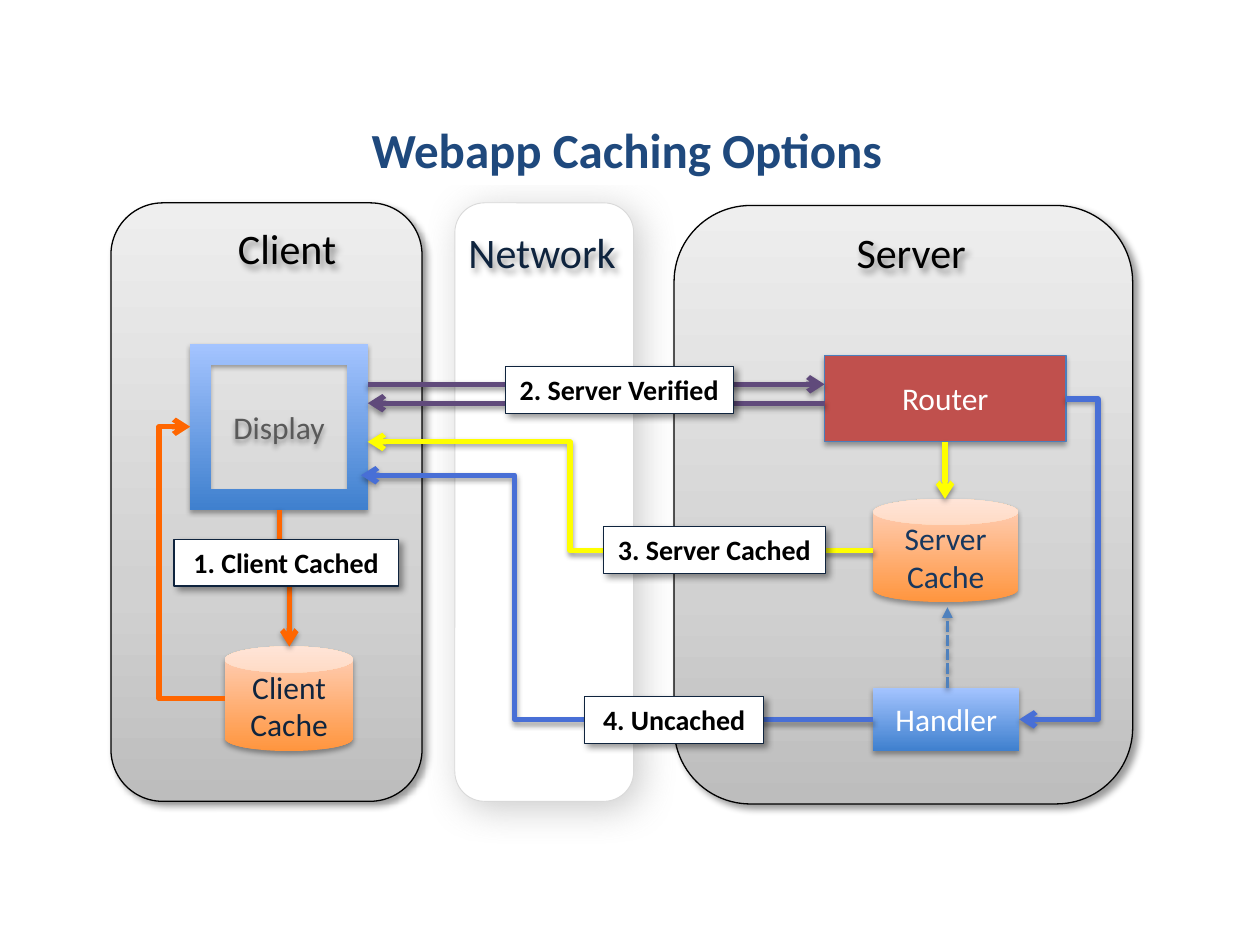
from lxml import etree
from pptx import Presentation
from pptx.dml.color import RGBColor
from pptx.enum.dml import MSO_LINE
from pptx.enum.shapes import MSO_CONNECTOR, MSO_SHAPE
from pptx.enum.text import MSO_ANCHOR, PP_ALIGN
from pptx.oxml.ns import qn
from pptx.util import Pt

WHITE, BLACK = RGBColor(255, 255, 255), RGBColor(0, 0, 0)
NAVY, TITLE_BLUE = RGBColor(0x0F, 0x24, 0x3E), RGBColor(0x1F, 0x49, 0x7D)
CACHE_BLUE, STEEL = RGBColor(0x17, 0x37, 0x5E), RGBColor(0x4F, 0x81, 0xBD)
RED, RED_EDGE = RGBColor(0xC0, 0x50, 0x4D), RGBColor(0x4B, 0x7E, 0xBC)
GRAY, PALE = RGBColor(0x59, 0x59, 0x59), RGBColor(0xD9, 0xD9, 0xD9)
SHADOW_GRAY = RGBColor(0x80, 0x80, 0x80)
ORANGE, YELLOW = RGBColor(0xFF, 0x66, 0), RGBColor(0xFF, 0xFF, 0)
BLUE, PURPLE = RGBColor(0x48, 0x6F, 0xD6), RGBColor(0x60, 0x4A, 0x7B)

# Gradients run from bottom to top: (percent, colour)
GRAY_FADE = [(0, RGBColor(0xBD, 0xBD, 0xBD)), (35, RGBColor(0xD1, 0xD1, 0xD1)),
             (100, RGBColor(0xEE, 0xEE, 0xEE))]
BLUE_FADE = [(0, RGBColor(0x3F, 0x80, 0xCE)), (100, RGBColor(0xA4, 0xC4, 0xFF))]
ORANGE_FADE = [(0, RGBColor(0xFF, 0x95, 0x3E)), (100, RGBColor(0xFF, 0xD2, 0xBD))]

# Shadows: colour, opacity percent, blur, distance, angle
WIDE = (SHADOW_GRAY, 40, 21.8, 5, 45)
CORNER = (BLACK, 40, 4, 3, 45)
DROP = (BLACK, 35, 3.1, 1.8, 90)
LINE_DROP = (BLACK, 38, 3.1, 1.6, 90)

ROUND, RECT = MSO_SHAPE.ROUNDED_RECTANGLE, MSO_SHAPE.RECTANGLE
CAN, FRAME = MSO_SHAPE.CAN, MSO_SHAPE.FRAME

# Zones: box, fill, edge, edge width, shadow
ZONES = [
    ((259.9, 115.9, 102.2, 342), WHITE, PALE, 0.5, WIDE),
    ((63.4, 115.9, 177.8, 342), GRAY_FADE, BLACK, 0.75, CORNER),
    ((385.2, 117.4, 262.1, 342), GRAY_FADE, BLACK, 0.75, CORNER),
]
# Nodes: preset, box, fill, edge, text, text colour
NODES = [
    (RECT, (499, 393.1, 83.5, 36), BLUE_FADE, None, "Handler", WHITE),
    (RECT, (471.2, 203, 137.9, 49.3), RED, RED_EDGE, "Router", WHITE),
    (FRAME, (108.7, 196.6, 101.5, 94.7), BLUE_FADE, None, "Display", GRAY),
    (CAN, (128.5, 369.4, 73.4, 59.8), ORANGE_FADE, None, "Client\nCache", NAVY),
    (CAN, (499, 285.1, 82.8, 59), ORANGE_FADE, None, "Server\nCache", CACHE_BLUE),
]
# Straight arrows: start, end, colour
ARROWS = [
    ((210.2, 219.6), (471.2, 219.6), PURPLE),
    ((471.2, 230.4), (210.2, 230.4), PURPLE),
    ((540, 252.5), (540, 285.1), YELLOW),
]
# Elbow arrows: start, end, colour, bend position, starts vertically, shadow
ELBOWS = [
    ((128.5, 399.3), (108.7, 243.9), ORANGE, 1.9, False, None),
    ((609.1, 228), (582.5, 411.1), BLUE, -0.69, False, LINE_DROP),
    ((159.5, 291.2), (165.3, 369.4), ORANGE, 0.5, True, LINE_DROP),
    ((499, 314.6), (210.2, 252.5), YELLOW, 0.6, False, LINE_DROP),
    ((499, 411.1), (206.3, 271.6), BLUE, 0.7, False, LINE_DROP),
]
LABELS = [
    ((99.4, 308.2, 128.2, 26.7), "1. Client Cached"),
    ((288.7, 209.5, 130.3, 26.7), "2. Server Verified"),
    ((344.9, 301, 126.7, 26.7), "3. Server Cached"),
    ((334.1, 398.2, 102.2, 26.7), "4. Uncached"),
]
HEADINGS = [
    ((482.4, 126, 79.2, 36), "Server", BLACK),
    ((128.9, 123.8, 71.3, 36), "Client", BLACK),
    ((260.6, 126, 100.1, 36), "Network", NAVY),
]


def sub(parent, tag, **attrs):
    """Append a DrawingML child with the given attributes."""
    return etree.SubElement(parent, qn("a:" + tag),
                            {key: str(value) for key, value in attrs.items()})


def add_shadow(item, shadow):
    """Replace the theme shadow by the given one, or by none."""
    effects = sub(item._element.spPr, "effectLst")
    if shadow:
        color, opacity, blur, distance, angle = shadow
        outer = sub(effects, "outerShdw", blurRad=Pt(blur), dist=Pt(distance),
                    dir=angle * 60000, rotWithShape=0)
        sub(sub(outer, "srgbClr", val=color), "alpha", val=opacity * 1000)


def paint(shape, fill, edge=None, width=0.75, shadow=None):
    """Set fill, outline and shadow of a shape."""
    if isinstance(fill, list):
        shape.fill.background()
        props = shape._element.spPr
        grad = etree.Element(qn("a:gradFill"), rotWithShape="1")
        stops = sub(grad, "gsLst")
        for percent, color in fill:
            sub(sub(stops, "gs", pos=percent * 1000), "srgbClr", val=color)
        sub(grad, "lin", ang=270 * 60000, scaled=0)
        props.replace(props.find(qn("a:noFill")), grad)
    elif fill is None:
        shape.fill.background()
    else:
        shape.fill.solid()
        shape.fill.fore_color.rgb = fill
    if edge is None:
        shape.line.fill.background()
    else:
        shape.line.color.rgb = edge
        shape.line.width = Pt(width)
    add_shadow(shape, shadow)


def write(shape, text, size, color, bold=False, anchor=MSO_ANCHOR.TOP,
          align=PP_ALIGN.CENTER, wrap=True):
    """Put one formatted paragraph in a shape."""
    frame = shape.text_frame
    frame.word_wrap, frame.vertical_anchor = wrap, anchor
    paragraph = frame.paragraphs[0]
    paragraph.text, paragraph.alignment = text, align
    for run in paragraph.runs:
        run.font.name, run.font.size, run.font.bold = "Calibri", Pt(size), bold
        run.font.color.rgb = color


def add_box(preset, box):
    """Add a preset shape at a box in points."""
    return slide.shapes.add_shape(preset, *map(Pt, box))


def add_text(box, text, size, color, bold=False, fill=None, shadow=None):
    """Add a free-standing line of text."""
    holder = slide.shapes.add_textbox(*map(Pt, box))
    paint(holder, fill, shadow=shadow)
    write(holder, text, size, color, bold, align=PP_ALIGN.LEFT, wrap=False)


def add_arrow(start, end, color, bend=None, vertical=False, shadow=LINE_DROP,
              width=3, dash=None, head="arrow"):
    """Add a straight arrow, or an elbow when a bend position is given."""
    (x1, y1), (x2, y2) = start, end
    if vertical:  # lay the connector on its side, then turn it a quarter
        cx, cy, dx, dy = (x1 + x2) / 2, (y1 + y2) / 2, (x2 - x1) / 2, (y2 - y1) / 2
        x1, y1, x2, y2 = cx - dy, cy + dx, cx + dy, cy - dx
    kind = MSO_CONNECTOR.STRAIGHT if bend is None else MSO_CONNECTOR.ELBOW
    arrow = slide.shapes.add_connector(kind, Pt(x1), Pt(y1), Pt(x2), Pt(y2))
    props = arrow._element.spPr
    if vertical:
        props.find(qn("a:xfrm")).set("rot", str(90 * 60000))
    if bend is not None:
        guides = props.find(qn("a:prstGeom")).find(qn("a:avLst"))
        sub(guides, "gd", name="adj1", fmla=f"val {round(bend * 100000)}")
    arrow.line.color.rgb, arrow.line.width = color, Pt(width)
    if dash:
        arrow.line.dash_style = dash
    sub(props.find(qn("a:ln")), "tailEnd", type=head)
    add_shadow(arrow, shadow)


prs = Presentation()
prs.slide_width, prs.slide_height = Pt(720), Pt(540)
slide = prs.slides.add_slide(prs.slide_layouts[6])

for box, *style in ZONES:
    paint(add_box(ROUND, box), *style)
add_text((205.2, 64.8, 308.9, 41), "Webapp Caching Options", 28, TITLE_BLUE, True, WHITE)
for preset, box, fill, edge, text, color in NODES:
    node = add_box(preset, box)
    paint(node, fill, edge, shadow=DROP)
    write(node, text, 18, color, anchor=MSO_ANCHOR.MIDDLE)
for arrow in ARROWS + ELBOWS:
    add_arrow(*arrow)
add_arrow((541.4, 393.1), (541.4, 347), STEEL, width=2,
          dash=MSO_LINE.SQUARE_DOT, head="triangle")
for box, text in LABELS:
    label = add_box(RECT, box)
    paint(label, WHITE, NAVY, shadow=CORNER)
    write(label, text, 16, BLACK, True)
for box, text, color in HEADINGS:
    add_text(box, text, 24, color, shadow=CORNER)

prs.save("out.pptx")
